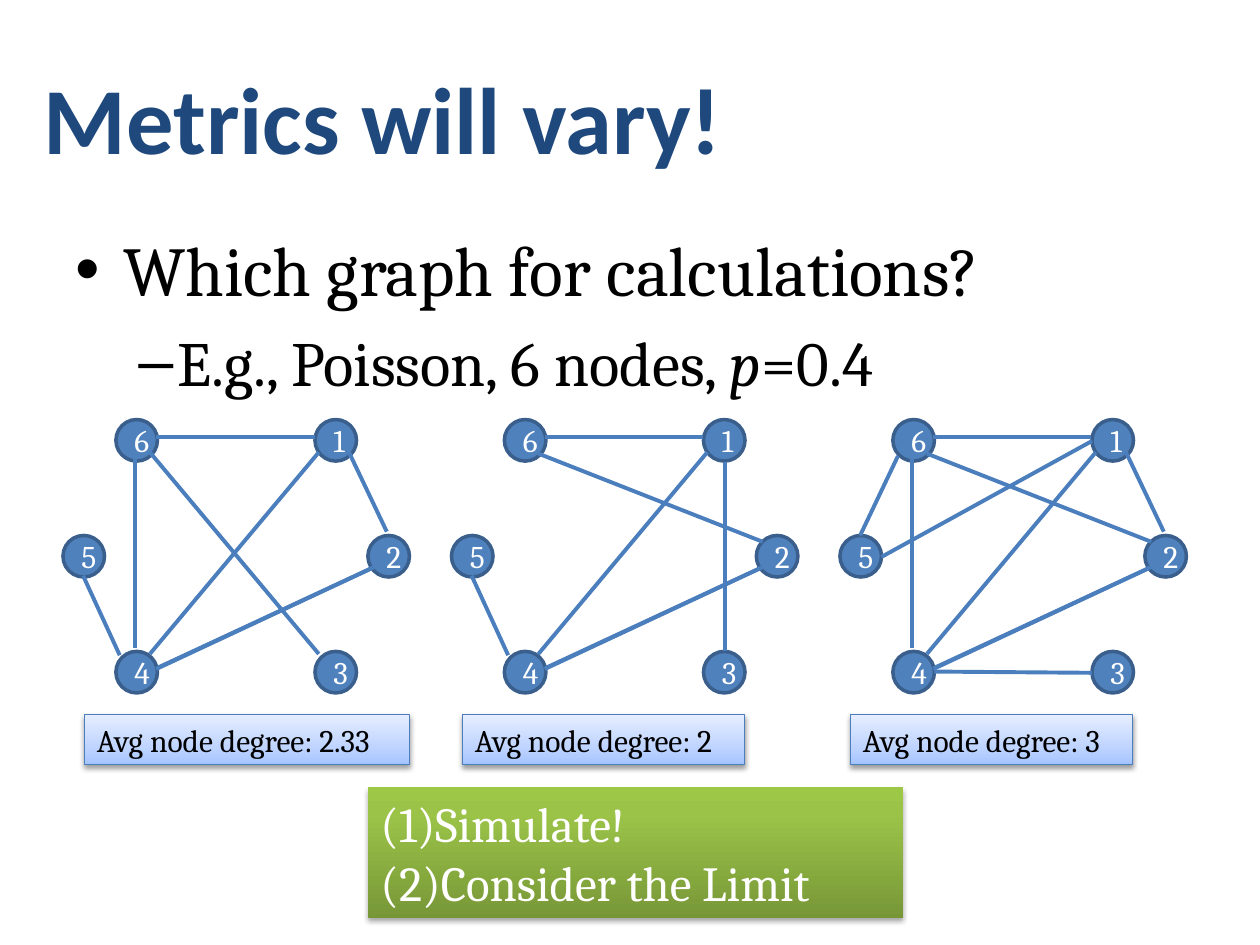
from dataclasses import dataclass

from lxml.etree import SubElement as Sub
from pptx import Presentation
from pptx.dml.color import RGBColor
from pptx.enum.shapes import MSO_CONNECTOR as Link, MSO_SHAPE as Form
from pptx.enum.text import MSO_ANCHOR as Anchor, MSO_AUTO_SIZE as Auto, PP_ALIGN as Align
from pptx.oxml.ns import qn
from pptx.util import Inches, Pt

BLUE, EDGE, RIM = "4F81BD", "4B7EBC", "3A5F8C"
WHITE, BLACK, NAVY = "FFFFFF", "000000", "1F497D"
SKY = ((0, "A4C4FF"), (35, "BFD4FF"), (100, "E6EEFF"))
GREEN = ((0, "779737"), (80, "9BC348"), (100, "9DC746"))
SIZE = 0.33
STEP = 37 / 12
NODES = {"5": (0, 4.25), "4": (0.42, 5.17), "6": (0.42, 3.33),
         "3": (2, 5.17), "2": (2.42, 4.25), "1": (2, 3.33)}
EDGES = {
    "24": (0.74, 5.31, 2.45, 4.51), "42": (0.75, 5.3, 2.47, 4.5),
    "16": (0.74, 3.47, 1.99, 3.47), "61": (0.75, 3.47, 2, 3.47),
    "12": (2.57, 4.22, 2.27, 3.59), "46": (0.57, 5.14, 0.57, 3.64),
    "41": (0.69, 5.19, 2.03, 3.59), "45": (0.45, 5.2, 0.16, 4.57),
    "36": (2.03, 5.19, 0.69, 3.59), "31": (2.17, 5.17, 2.17, 3.67),
    "26": (2.47, 4.3, 0.69, 3.6), "15": (2, 3.5, 0.33, 4.42),
    "34": (2, 5.34, 0.75, 5.33), "56": (0.16, 4.25, 0.46, 3.62),
}


@dataclass
class Graph:
    links: str
    mean: str
    left: float
    width: float


GRAPHS = (
    Graph("24 16 12 46 41 45 36 42 61", "2.33", 0.67, 2.58),
    Graph("24 16 31 41 45 26 42 61", "2", 3.67, 2.24),
    Graph("24 16 12 46 41 15 34 42 56 26", "3", 6.75, 2.24),
)


def tint(code: str) -> RGBColor:
    return RGBColor.from_string(code)


def style(par, size: float, code: str, face: str = "Cambria") -> None:
    for run in par.runs:
        run.font.size = Pt(size)
        run.font.name = face
        run.font.color.rgb = tint(code)


def mark(par, left: float, hang: float, tag: str, **attrs: str) -> None:
    props = par._p.get_or_add_pPr()
    props.set("marL", str(Inches(left)))
    props.set("indent", str(-Inches(hang)))
    Sub(props, qn("a:buFont"), typeface="Arial")
    Sub(props, qn(tag), **attrs)


def text_box(slide, left: float, top: float, width: float, height: float):
    frame = slide.shapes.add_textbox(
        Inches(left), Inches(top), Inches(width), Inches(height)).text_frame
    frame.word_wrap = True
    return frame


def panel(slide, left: float, top: float, width: float, height: float,
          stops: tuple, alpha: int, drop: float):
    box = slide.shapes.add_shape(
        Form.RECTANGLE, Inches(left), Inches(top), Inches(width), Inches(height))
    box.fill.gradient()
    box.fill.gradient_angle = 90
    bands = box._element.spPr.find(".//" + qn("a:gsLst"))
    for old in list(bands):
        bands.remove(old)
    for spot, code in stops:
        stop = Sub(bands, qn("a:gs"), pos=str(spot * 1000))
        Sub(stop, qn("a:srgbClr"), val=code)
    box.line.fill.background()
    box.shadow.inherit = False
    glow = Sub(box._element.spPr.find(qn("a:effectLst")), qn("a:outerShdw"),
               blurRad=str(Pt(3.1)), dist=str(Pt(drop)), dir="5400000", rotWithShape="0")
    shade = Sub(glow, qn("a:srgbClr"), val=BLACK)
    Sub(shade, qn("a:alpha"), val=str(alpha * 1000))
    box.text_frame.vertical_anchor = Anchor.TOP
    return box


def draw_node(shapes, name: str, left: float, top: float) -> None:
    node = shapes.add_shape(
        Form.OVAL, Inches(left), Inches(top), Inches(SIZE), Inches(SIZE))
    node.shadow.inherit = False
    node.fill.solid()
    node.fill.fore_color.rgb = tint(BLUE)
    node.line.color.rgb = tint(RIM)
    node.line.width = Pt(2)
    frame = node.text_frame
    frame.text = name
    frame.vertical_anchor = Anchor.MIDDLE
    frame.paragraphs[0].alignment = Align.CENTER
    style(frame.paragraphs[0], 18, WHITE)


def draw_edge(shapes, left: float, ends: tuple) -> None:
    x1, y1, x2, y2 = ends
    edge = shapes.add_connector(
        Link.STRAIGHT, Inches(left + x1), Inches(y1), Inches(left + x2), Inches(y2))
    edge.line.color.rgb = tint(EDGE)
    edge.line.width = Pt(2.25)
    Sub(edge._element.spPr, qn("a:effectLst"))


def draw_graph(slide, graph: Graph, left: float) -> None:
    shapes = slide.shapes.add_group_shape().shapes
    for name, (x, y) in NODES.items():
        draw_node(shapes, name, left + x, y)
    for link in graph.links.split():
        draw_edge(shapes, left, EDGES[link])


def draw_label(slide, graph: Graph) -> None:
    box = panel(slide, graph.left, 5.67, graph.width, 0.4, SKY, 38, 1.6)
    box.line.color.rgb = tint(EDGE)
    box.line.width = Pt(0.75)
    frame = box.text_frame
    frame.text = f"Avg node degree: {graph.mean}"
    frame.word_wrap = False
    frame.auto_size = Auto.SHAPE_TO_FIT_TEXT
    frame.paragraphs[0].alignment = Align.LEFT
    style(frame.paragraphs[0], 18, BLACK)


def draw_head(slide) -> None:
    frame = text_box(slide, 0.25, 0.3, 9.5, 1.25)
    frame.text = "Metrics will vary!"
    frame.vertical_anchor = Anchor.MIDDLE
    style(frame.paragraphs[0], 54, NAVY, "Calibri")
    frame.paragraphs[0].runs[0].font.bold = True


def draw_body(slide) -> None:
    frame = text_box(slide, 0.5, 1.75, 9, 4.95)
    frame.text = "Which graph for calculations?"
    first, case = frame.paragraphs[0], frame.add_paragraph()
    case.level = 1
    for part in ("E.g., Poisson, 6 nodes, ", "p", "=0.4"):
        case.add_run().text = part
    case.runs[1].font.italic = True
    first.space_before, case.space_before = Pt(8), Pt(7.2)
    style(first, 40, BLACK)
    style(case, 36, BLACK)
    mark(first, 0.38, 0.38, "a:buChar", char="•")
    mark(case, 0.81, 0.31, "a:buChar", char="–")


def draw_steps(slide) -> None:
    frame = panel(slide, 2.92, 6.25, 4.25, 1.04, GREEN, 35, 1.8).text_frame
    frame.text = "Simulate!\nConsider the Limit"
    frame.auto_size = Auto.SHAPE_TO_FIT_TEXT
    for par in frame.paragraphs:
        par.alignment = Align.LEFT
        style(par, 28, WHITE)
        mark(par, 0.38, 0.38, "a:buAutoNum", type="arabicParenBoth")


def main() -> None:
    deck = Presentation()
    deck.slide_width, deck.slide_height = Inches(10), Inches(7.5)
    slide = deck.slides.add_slide(deck.slide_layouts[6])
    draw_head(slide)
    draw_body(slide)
    for rank, graph in enumerate(GRAPHS):
        draw_graph(slide, graph, 0.5 + rank * STEP)
    for graph in GRAPHS:
        draw_label(slide, graph)
    draw_steps(slide)
    deck.save("out.pptx")


if __name__ == "__main__":
    main()
